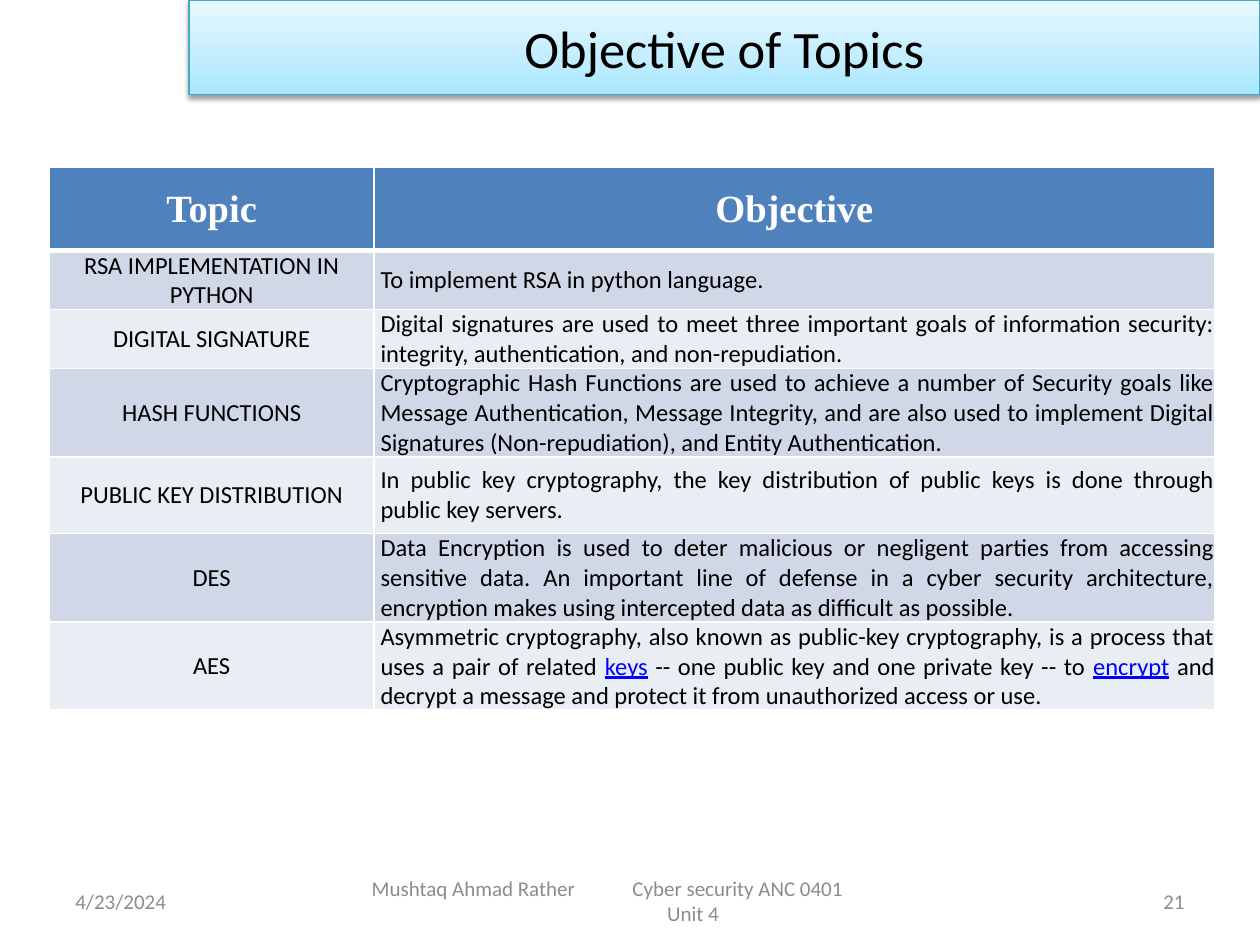
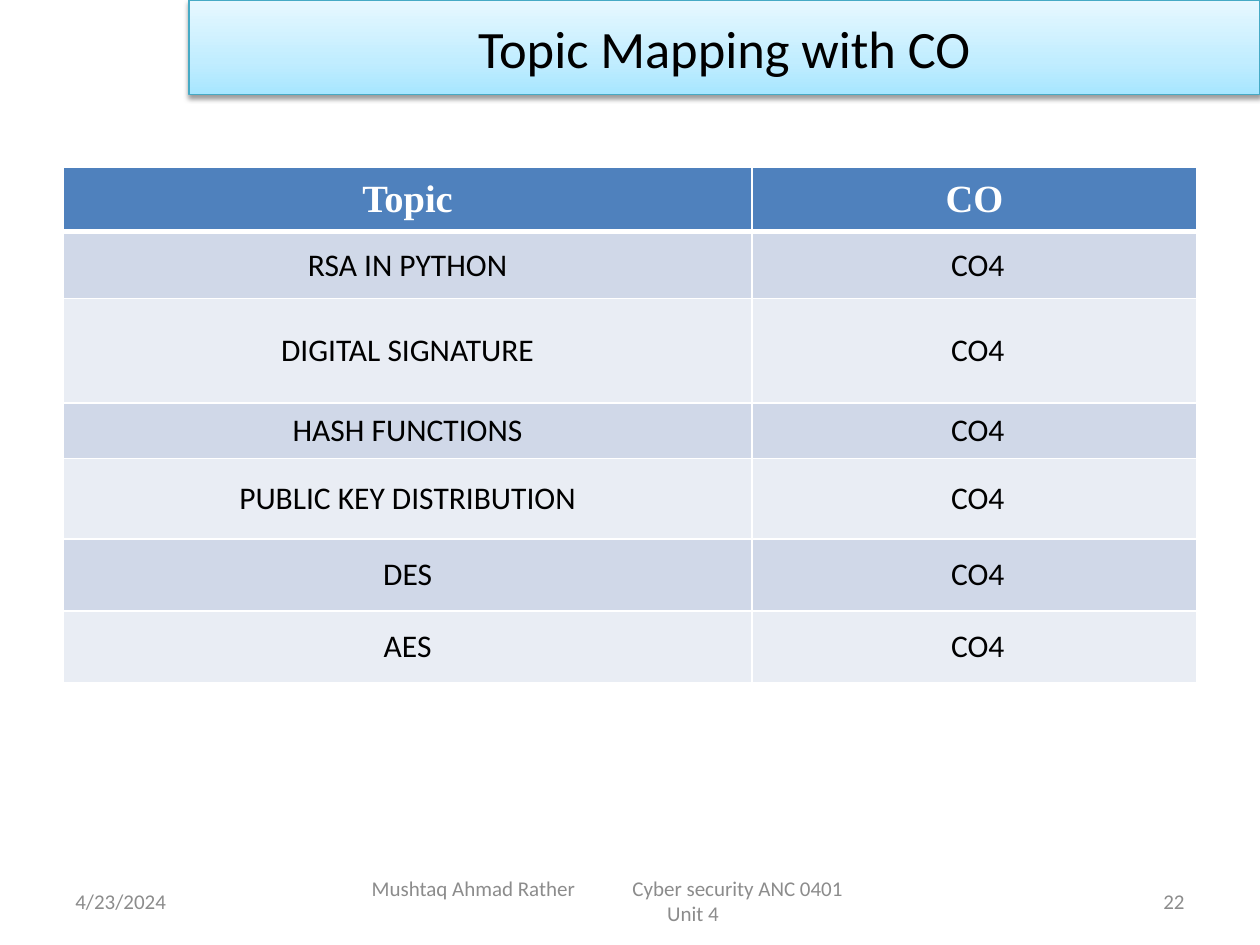
from copy import deepcopy

from lxml.etree import SubElement
from pptx import Presentation
from pptx.dml.color import RGBColor
from pptx.enum.shapes import MSO_SHAPE
from pptx.enum.text import MSO_ANCHOR, PP_ALIGN
from pptx.oxml.ns import qn
from pptx.util import Inches, Pt

COLORS = {
    "ink": "000000", "white": "FFFFFF", "muted": "8C8C8C", "link": "0000FF",
    "header": "4F81BD", "odd": "D0D8E8", "even": "E9EDF4",
    "band_low": "A7E6FF", "band_mid": "C1EDFF", "band_high": "E7F8FF",
    "band_edge": "46AAC5",
}
BODY_FONT, HEADER_FONT = "Calibri", "Times New Roman"
WIDTH, HEIGHT = Inches(10), Inches(7.5)
COLUMNS, ROWS = 20, 30
DATE = "4/23/2024"
COURSE_LINE = "Mushtaq Ahmad Rather\tCyber security ANC 0401"
UNIT_LINE = "Unit 4"


def col(count):
    return round(WIDTH * count / COLUMNS)


def row(count):
    return round(HEIGHT * count / ROWS)


def rgb(name):
    return RGBColor.from_string(COLORS[name])


class Deck:
    """Holds the presentation, its style and the current slide."""

    def __init__(self):
        self.presentation = Presentation()
        self.presentation.slide_width = WIDTH
        self.presentation.slide_height = HEIGHT
        self.slide = None

    def new_slide(self, title, number):
        blank = self.presentation.slide_layouts[6]
        self.slide = self.presentation.slides.add_slide(blank)
        self.footer(1, 4.66, [DATE], PP_ALIGN.LEFT)
        self.footer(14.34, 4.66, [str(number)], PP_ALIGN.RIGHT)
        self.title_band(title)
        self.course_footer()

    def run(self, paragraph, text, size, color="ink", font=BODY_FONT,
            bold=False, underline=False):
        run = paragraph.add_run()
        run.text = text
        run.font.size = Pt(size)
        run.font.name = font
        run.font.bold = bold
        run.font.underline = underline
        run.font.color.rgb = rgb(color)

    def title_band(self, title):
        band = self.slide.shapes.add_shape(
            MSO_SHAPE.RECTANGLE, col(3), 0, col(17), row(3))
        band.line.color.rgb = rgb("band_edge")
        band.line.width = Pt(0.75)
        self.band_gradient(band)
        self.band_shadow(band)
        frame = band.text_frame
        frame.word_wrap = True
        frame.vertical_anchor = MSO_ANCHOR.MIDDLE
        frame.paragraphs[0].alignment = PP_ALIGN.CENTER
        self.run(frame.paragraphs[0], title, 30)

    def band_gradient(self, band):
        band.fill.gradient()
        band.fill.gradient_angle = 90
        stop_list = band._element.spPr.find(".//" + qn("a:gsLst"))
        stop_list.append(deepcopy(stop_list[0]))
        shades = [(0, "band_low"), (0.35, "band_mid"), (1, "band_high")]
        for stop, (position, color) in zip(band.fill.gradient_stops, shades):
            stop.position = position
            stop.color.rgb = rgb(color)

    def band_shadow(self, band):
        band.shadow.inherit = False
        effects = band._element.spPr.find(qn("a:effectLst"))
        shadow = SubElement(effects, qn("a:outerShdw"), blurRad=str(Pt(3.1)),
                            dist=str(Pt(1.6)), dir="5400000", rotWithShape="0")
        tone = SubElement(shadow, qn("a:srgbClr"), val=COLORS["ink"])
        SubElement(tone, qn("a:alpha"), val="38000")

    def footer(self, left, width, lines, align):
        box = self.slide.shapes.add_textbox(
            col(left), row(27.8), col(width), row(1.6))
        frame = box.text_frame
        frame.word_wrap = True
        frame.vertical_anchor = MSO_ANCHOR.MIDDLE
        for index, line in enumerate(lines):
            paragraph = frame.add_paragraph() if index else frame.paragraphs[0]
            paragraph.alignment = align
            self.run(paragraph, line, 12, "muted")
        return frame

    def course_footer(self):
        frame = self.footer(5.5, 11, [COURSE_LINE, UNIT_LINE], PP_ALIGN.CENTER)
        frame.margin_left = frame.margin_right = col(0.4)
        course = frame.paragraphs[0]
        course.alignment = PP_ALIGN.LEFT
        tabs = SubElement(course._p.get_or_add_pPr(), qn("a:tabLst"))
        SubElement(tabs, qn("a:tab"), pos=str(col(4.14)), algn="l")

    def table(self, left, widths, heights, header, records, size, last_align):
        table = self.slide.shapes.add_table(
            len(heights), len(widths), col(left), row(5.32),
            col(sum(widths)), row(sum(heights))).table
        for column, width in zip(table.columns, widths):
            column.width = col(width)
        for line, height in zip(table.rows, heights):
            line.height = row(height)
        for index, texts in enumerate([header, *records]):
            for place, text in enumerate(texts):
                cell = table.cell(index, place)
                paragraph = cell.text_frame.paragraphs[0]
                paragraph.alignment = PP_ALIGN.CENTER
                if index == 0:
                    self.run(paragraph, text, 22, "white", HEADER_FONT, True)
                    self.cell_style(cell, "header", bottom=3)
                    continue
                self.linked_text(paragraph, text, size)
                self.cell_style(cell, "odd" if index % 2 else "even",
                                top=3 if index == 1 else 1)
                if place:
                    paragraph.alignment = last_align
                    cell.margin_left = col(0.1)

    def linked_text(self, paragraph, text, size):
        """Write text in which the words between bars look like links."""
        for index, part in enumerate(text.split("|")):
            is_link = index % 2 == 1
            self.run(paragraph, part, size, "link" if is_link else "ink",
                     underline=is_link)

    def cell_style(self, cell, fill, top=1, bottom=1):
        cell.vertical_anchor = MSO_ANCHOR.MIDDLE
        cell.margin_left = cell.margin_right = 0
        cell.margin_top = cell.margin_bottom = 0
        properties = cell._tc.get_or_add_tcPr()
        for side, weight in zip("LRTB", (1, 1, top, bottom)):
            border = SubElement(properties, qn("a:ln" + side), w=str(Pt(weight)))
            paint = SubElement(border, qn("a:solidFill"))
            SubElement(paint, qn("a:srgbClr"), val=COLORS["white"])
        cell.fill.solid()
        cell.fill.fore_color.rgb = rgb(fill)
        properties.append(properties.find(qn("a:solidFill")))


OBJECTIVES = [
    ("RSA IMPLEMENTATION IN PYTHON", "To implement RSA in python language."),
    ("DIGITAL SIGNATURE",
     "Digital signatures are used to meet three important goals of information "
     "security: integrity, authentication, and non-repudiation."),
    ("HASH FUNCTIONS",
     "Cryptographic Hash Functions are used to achieve a number of Security "
     "goals like Message Authentication, Message Integrity, and are also used "
     "to implement Digital Signatures (Non-repudiation), and Entity "
     "Authentication."),
    ("PUBLIC KEY DISTRIBUTION",
     "In public key cryptography, the key distribution of public keys is done "
     "through public key servers."),
    ("DES",
     "Data Encryption is used to deter malicious or negligent parties from "
     "accessing sensitive data. An important line of defense in a cyber "
     "security architecture, encryption makes using intercepted data as "
     "difficult as possible."),
    ("AES",
     "Asymmetric cryptography, also known as public-key cryptography, is a "
     "process that uses a pair of related |keys| -- one public key and one "
     "private key -- to |encrypt| and decrypt a message and protect it from "
     "unauthorized access or use."),
]
MAPPED_TOPICS = ["RSA IN PYTHON"] + [topic for topic, _ in OBJECTIVES[1:]]


def main():
    deck = Deck()
    deck.new_slide("Objective of Topics", 21)
    deck.table(0.78, [5.16, 13.34], [2.64, 1.68, 1.68, 2.56, 2.44, 2.56, 2.56],
               ("Topic", "Objective"), OBJECTIVES, 14, PP_ALIGN.JUSTIFY)
    deck.new_slide("Topic Mapping with CO", 22)
    deck.table(1, [10.94, 7.06], [2.04, 2.12, 3.32, 1.76, 2.56, 2.28, 2.28],
               ("Topic", "CO"), [(topic, "CO4") for topic in MAPPED_TOPICS],
               18, PP_ALIGN.CENTER)
    deck.presentation.save("out.pptx")


if __name__ == "__main__":
    main()
